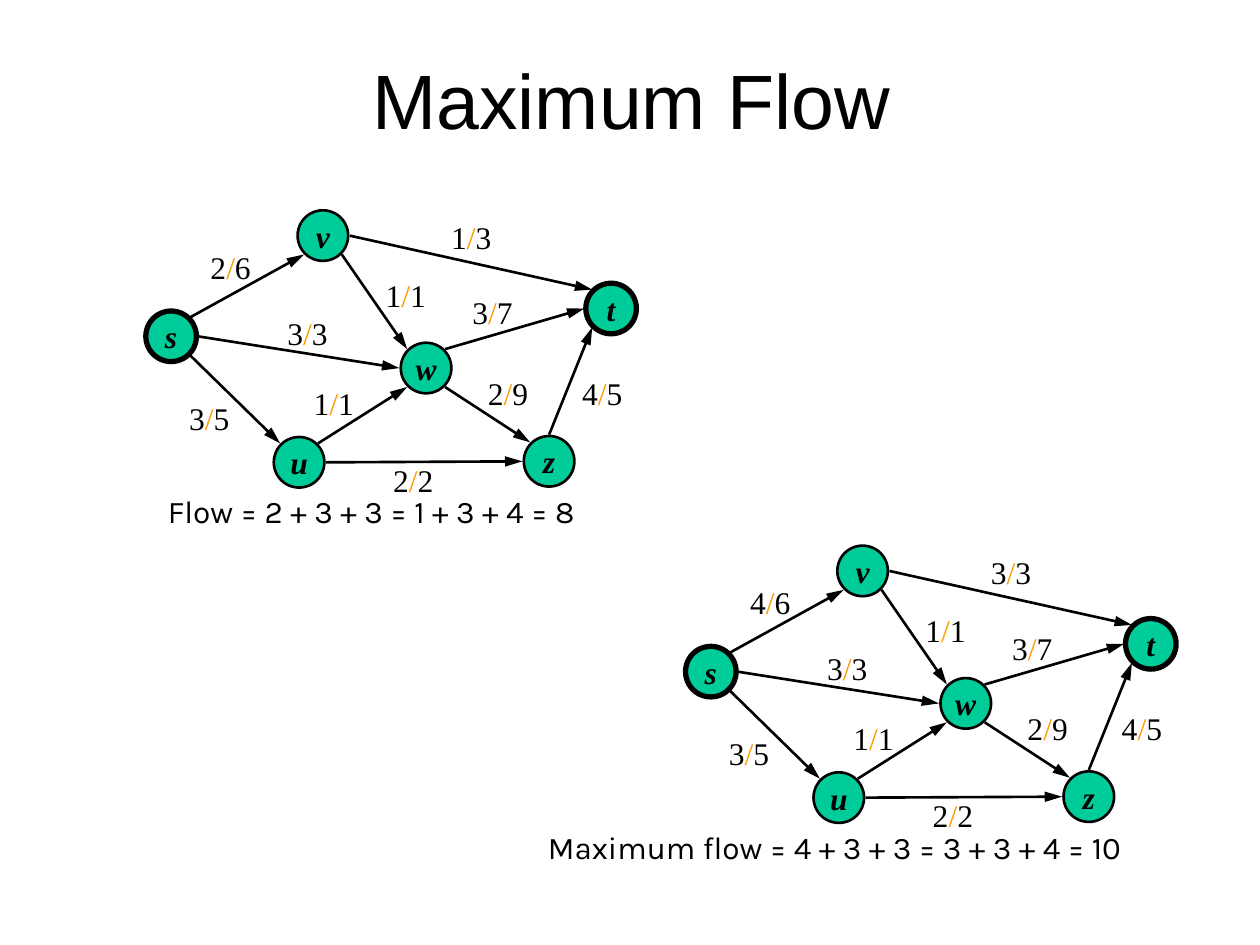
from math import cos, radians, sin

from lxml.etree import SubElement
from pptx import Presentation
from pptx.dml.color import RGBColor
from pptx.enum.shapes import MSO_CONNECTOR, MSO_SHAPE
from pptx.enum.text import MSO_ANCHOR as Anchor, PP_ALIGN as Align
from pptx.oxml.ns import qn
from pptx.util import Cm, Pt

BLACK = RGBColor(0x00, 0x00, 0x00)
GREEN = RGBColor(0x00, 0xCC, 0x99)
ORANGE = RGBColor(0xFF, 0x99, 0x00)
SERIF = "Times New Roman"

TITLE = "Maximum Flow"
NODES = {
    "w": (8.59, 7.42),
    "s": (3.45, 6.78),
    "v": (6.51, 4.75),
    "u": (6.03, 9.32),
    "t": (12.32, 6.22),
    "z": (11.07, 9.3),
}
TERMINALS = "st"
# name, start angle, end angle, label centre
EDGES = [
    ("sw", 0, 180, (6.2, 6.71)),
    ("wz", 45, 225, (10.24, 7.92)),
    ("vw", 45, 225, (8.18, 5.94)),
    ("vt", 0, 225, (9.5, 4.78)),
    ("wt", 315, 180, (9.93, 6.3)),
    ("sv", 315, 135, (4.65, 5.38)),
    ("zt", 270, 135, (12.14, 7.92)),
    ("uw", 315, 135, (6.73, 8.13)),
    ("su", 45, 225, (4.22, 8.43)),
    ("uz", 0, 180, (8.33, 9.68)),
]
CAPACITY = {"sw": 3, "wz": 9, "vw": 1, "vt": 3, "wt": 7,
            "sv": 6, "zt": 5, "uw": 1, "su": 5, "uz": 2}
FIRST_FLOW = {"sw": 3, "wz": 2, "vw": 1, "vt": 1, "wt": 3,
              "sv": 2, "zt": 4, "uw": 1, "su": 3, "uz": 2}
NETWORKS = [
    ((0, 0), FIRST_FLOW,
     "Flow = 2 + 3 + 3 = 1 + 3 + 4 = 8", (7.49, 10.31), 10.26),
    ((10.88, 6.76), {**FIRST_FLOW, "sv": 4, "vt": 3},
     "Maximum flow = 4 + 3 + 3 = 3 + 3 + 4 = 10", (16.83, 17.07), 13.39),
]
DIAMETER, REACH = 1.02, 0.54
LABEL_W, LINE_H = 1.32, 1.02


def box_at(centre, w, h):
    return Cm(centre[0] - w / 2), Cm(centre[1] - h / 2), Cm(w), Cm(h)


def shift(point, offset):
    return point[0] + offset[0], point[1] + offset[1]


def style(run, font, size, color=BLACK):
    run.font.name, run.font.size = font, Pt(size)
    run.font.color.rgb = color


def add_text(s, centre, w, h, parts, font, size=18, wrap=False, anchor=Anchor.TOP):
    tf = s.shapes.add_textbox(*box_at(centre, w, h)).text_frame
    tf.word_wrap = wrap
    tf.vertical_anchor = anchor
    p = tf.paragraphs[0]
    p.alignment = Align.CENTER
    for text, color in parts:
        r = p.add_run()
        r.text = text
        style(r, font, size, color)


def add_node(s, name, centre):
    sp = s.shapes.add_shape(MSO_SHAPE.OVAL, *box_at(centre, DIAMETER, DIAMETER))
    sp.shadow.inherit = False
    sp.fill.solid()
    sp.fill.fore_color.rgb = GREEN
    sp.line.color.rgb = BLACK
    sp.line.width = Pt(3 if name in TERMINALS else 1.5)
    tf = sp.text_frame
    tf.text = name
    tf.word_wrap = False
    tf.vertical_anchor = Anchor.MIDDLE
    p = tf.paragraphs[0]
    p.alignment = Align.CENTER
    r = p.runs[0]
    style(r, SERIF, 18)
    r.font.bold = r.font.italic = True


def rim(centre, angle):
    a = radians(angle)
    return shift(centre, (REACH * cos(a), REACH * sin(a)))


def add_arrow(s, start, end):
    cx = s.shapes.add_connector(MSO_CONNECTOR.STRAIGHT, *map(Cm, (*start, *end)))
    cx.line.color.rgb = BLACK
    cx.line.width = Pt(1.5)
    SubElement(cx.line._get_or_add_ln(), qn("a:tailEnd"), type="triangle", w="med", len="lg")
    SubElement(cx._element.spPr, qn("a:effectLst"))


def add_network(s, offset, flow, caption, caption_centre, caption_w):
    centres = {name: shift(c, offset) for name, c in NODES.items()}
    for name, centre in centres.items():
        add_node(s, name, centre)
    for edge, _, _, at in EDGES:
        parts = [(str(flow[edge]), BLACK), ("/", ORANGE), (str(CAPACITY[edge]), BLACK)]
        add_text(s, shift(at, offset), LABEL_W, LINE_H, parts, SERIF)
    for (tail, head), leave, arrive, _ in EDGES:
        add_arrow(s, rim(centres[tail], leave), rim(centres[head], arrive))
    add_text(s, caption_centre, caption_w, LINE_H, [(caption, BLACK)], "Karla")


def main():
    prs = Presentation()
    prs.slide_width, prs.slide_height = Cm(25.4), Cm(19.05)
    s = prs.slides.add_slide(prs.slide_layouts[6])
    add_text(s, (12.73, 2), 21.59, 3.18, [(TITLE, BLACK)], "Arial", 44, True, Anchor.MIDDLE)
    for network in NETWORKS:
        add_network(s, *network)
    prs.save("out.pptx")


if __name__ == "__main__":
    main()
